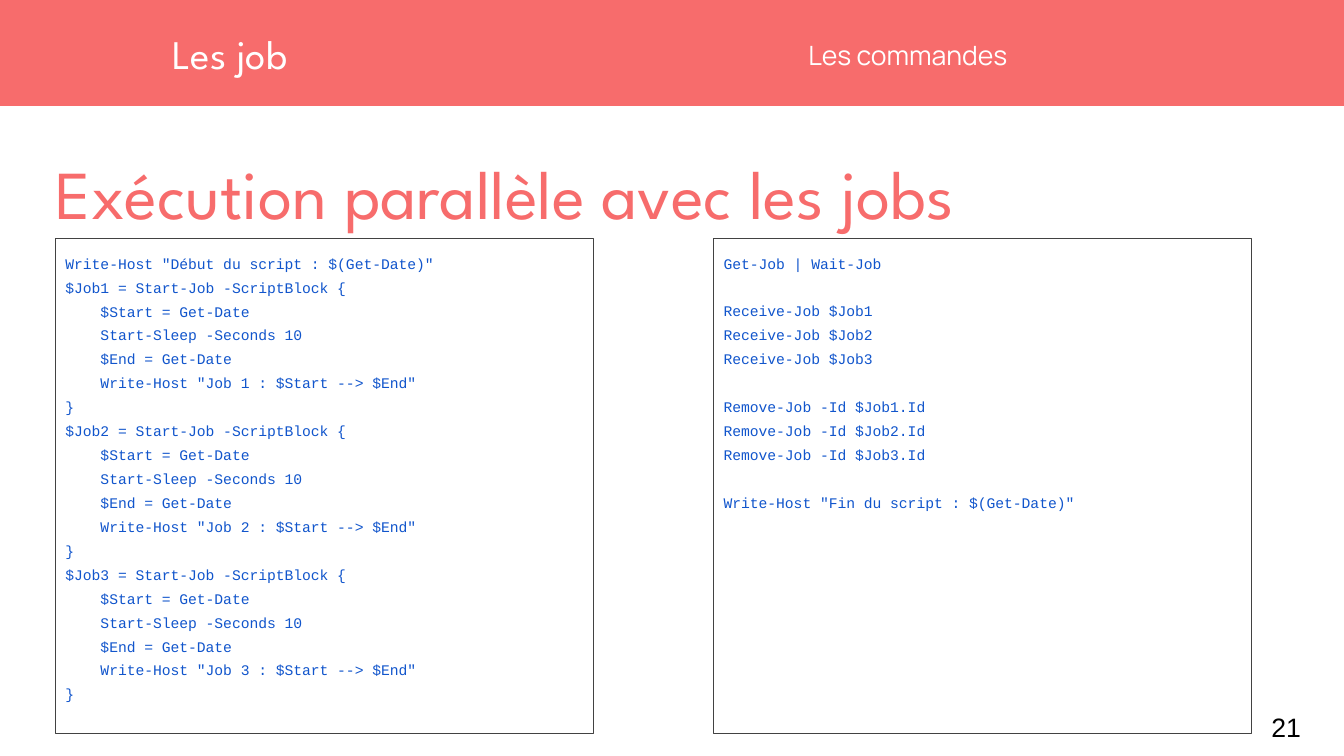
from dataclasses import dataclass

import pptx
import pptx.dml.color
import pptx.enum.shapes
import pptx.enum.text
import pptx.shapes.autoshape
import pptx.slide
import pptx.text.text
import pptx.util

CORAL = pptx.dml.color.RGBColor(0xF7, 0x6C, 0x6C)
WHITE = pptx.dml.color.RGBColor(0xFF, 0xFF, 0xFF)
BLACK = pptx.dml.color.RGBColor(0x00, 0x00, 0x00)
BORDER_GREY = pptx.dml.color.RGBColor(0x42, 0x42, 0x42)
CODE_BLUE = pptx.dml.color.RGBColor(0x11, 0x55, 0xCC)

SLIDE_WIDTH = pptx.util.Inches(13.33)
SLIDE_HEIGHT = pptx.util.Inches(7.5)
CODE_LINE_SPACING = 1.36
BLANK_LINE_HEIGHT = pptx.util.Pt(17)

TOP = pptx.enum.text.MSO_ANCHOR.TOP
MIDDLE = pptx.enum.text.MSO_ANCHOR.MIDDLE
LEFT = pptx.enum.text.PP_ALIGN.LEFT
RECTANGLE = pptx.enum.shapes.MSO_SHAPE.RECTANGLE


@dataclass(frozen=True)
class Area:
    """A region given in percent of the slide's width and height."""
    left: float
    top: float
    width: float
    height: float

    def lengths(self) -> tuple[int, int, int, int]:
        return (
            int(SLIDE_WIDTH * self.left / 100),
            int(SLIDE_HEIGHT * self.top / 100),
            int(SLIDE_WIDTH * self.width / 100),
            int(SLIDE_HEIGHT * self.height / 100),
        )


@dataclass(frozen=True)
class TextStyle:
    family: str
    size: float
    color: pptx.dml.color.RGBColor


@dataclass(frozen=True)
class Label:
    text: str
    area: Area
    style: TextStyle
    anchor: pptx.enum.text.MSO_ANCHOR = MIDDLE
    inset: float = 0


@dataclass(frozen=True)
class CodePanel:
    code: str
    area: Area


CODE_STYLE = TextStyle("Courier New", 10.5, CODE_BLUE)

LABELS = [
    Label("Les commandes", Area(60.15, 3.73, 38.4, 6.93), TextStyle("Manrope", 19, WHITE)),
    Label("Les job", Area(12.83, 0, 46.88, 14), TextStyle("League Spartan", 29, WHITE)),
    Label("Exécution parallèle avec les jobs", Area(4.13, 20, 92.65, 10.27),
          TextStyle("League Spartan", 49, CORAL), TOP),
    Label("21", Area(93.62, 92.4, 6, 7.6), TextStyle("Arial", 19, BLACK), inset=0.13),
]


def job_block(number: int) -> str:
    return f"""$Job{number} = Start-Job -ScriptBlock {{
    $Start = Get-Date
    Start-Sleep -Seconds 10
    $End = Get-Date
    Write-Host "Job {number} : $Start --> $End"
}}"""


JOBS = (1, 2, 3)
LAUNCH_CODE = "\n".join(
    ['Write-Host "Début du script : $(Get-Date)"', *(job_block(job) for job in JOBS)])
COLLECT_CODE = "\n\n".join([
    "Get-Job | Wait-Job",
    "\n".join(f"Receive-Job $Job{job}" for job in JOBS),
    "\n".join(f"Remove-Job -Id $Job{job}.Id" for job in JOBS),
    'Write-Host "Fin du script : $(Get-Date)"',
])

CODE_PANELS = [
    CodePanel(LAUNCH_CODE, Area(4.13, 31.5, 40, 65.5)),
    CodePanel(COLLECT_CODE, Area(53.1, 31.5, 40, 65.5)),
]


def prepare_frame(frame: pptx.text.text.TextFrame, inset: float,
                  anchor: pptx.enum.text.MSO_ANCHOR) -> None:
    frame.word_wrap = True
    frame.vertical_anchor = anchor
    margin = pptx.util.Inches(inset)
    frame.margin_left = frame.margin_right = margin
    frame.margin_top = frame.margin_bottom = margin


def style_paragraph(paragraph: pptx.text.text._Paragraph, style: TextStyle) -> None:
    paragraph.alignment = LEFT
    paragraph.font.name = style.family
    paragraph.font.size = pptx.util.Pt(style.size)
    paragraph.font.color.rgb = style.color


def add_rectangle(slide: pptx.slide.Slide, area: Area,
                  fill: pptx.dml.color.RGBColor) -> pptx.shapes.autoshape.Shape:
    rectangle = slide.shapes.add_shape(RECTANGLE, *area.lengths())
    rectangle.shadow.inherit = False
    rectangle.fill.solid()
    rectangle.fill.fore_color.rgb = fill
    rectangle.line.fill.background()
    return rectangle


def add_label(slide: pptx.slide.Slide, label: Label) -> None:
    frame = slide.shapes.add_textbox(*label.area.lengths()).text_frame
    prepare_frame(frame, label.inset, label.anchor)
    frame.text = label.text
    style_paragraph(frame.paragraphs[0], label.style)


def add_code_panel(slide: pptx.slide.Slide, panel: CodePanel) -> None:
    """Draw a bordered listing; space before a paragraph stands for a blank line."""
    rectangle = add_rectangle(slide, panel.area, WHITE)
    rectangle.line.color.rgb = BORDER_GREY
    rectangle.line.width = pptx.util.Pt(0.75)
    frame = rectangle.text_frame
    prepare_frame(frame, 0.1, TOP)
    groups = [group.split("\n") for group in panel.code.split("\n\n")]
    frame.text = "\n".join(line for group in groups for line in group)
    for paragraph in frame.paragraphs:
        style_paragraph(paragraph, CODE_STYLE)
        paragraph.line_spacing = CODE_LINE_SPACING
    group_start = 0
    for group in groups[:-1]:
        group_start += len(group)
        frame.paragraphs[group_start].space_before = BLANK_LINE_HEIGHT


def main() -> None:
    presentation = pptx.Presentation()
    presentation.slide_width = SLIDE_WIDTH
    presentation.slide_height = SLIDE_HEIGHT
    slide = presentation.slides.add_slide(presentation.slide_layouts[6])
    add_rectangle(slide, Area(0, 0, 100, 14), CORAL)
    for label in LABELS:
        add_label(slide, label)
    for panel in CODE_PANELS:
        add_code_panel(slide, panel)
    presentation.save("out.pptx")


if __name__ == "__main__":
    main()
